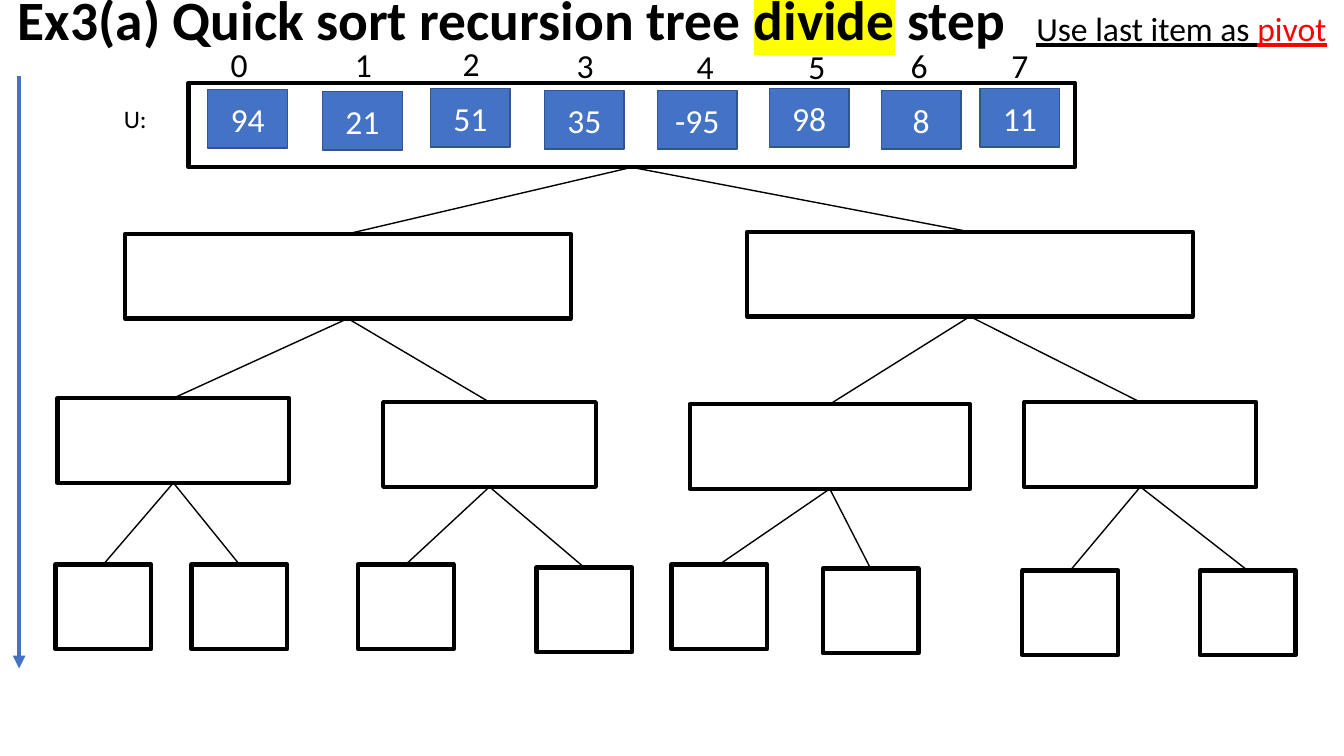
from lxml.etree import SubElement
from pptx import Presentation
from pptx.dml.color import RGBColor
from pptx.enum.shapes import MSO_CONNECTOR, MSO_SHAPE
from pptx.enum.text import MSO_ANCHOR, MSO_AUTO_SIZE, PP_ALIGN
from pptx.oxml import parse_xml
from pptx.oxml.ns import nsdecls, qn
from pptx.util import Pt

SCALE = 9144
BLACK = RGBColor(0x00, 0x00, 0x00)
WHITE = RGBColor(0xFF, 0xFF, 0xFF)
BLUE = RGBColor(0x44, 0x72, 0xC4)
NAVY = RGBColor(0x32, 0x54, 0x91)
RED = RGBColor(0xFF, 0x00, 0x00)
YELLOW = RGBColor(0xFF, 0xFF, 0x00)

CELLS = [
    (94, 206, 89), (21, 320, 91), (51, 427, 88), (35, 540, 90),
    (-95, 652, 90), (98, 763, 88), (8, 874, 90), (11, 972, 88),
]
LABELS = [
    (219, 39, 21), (342, 39, 21), (449, 38, 21), (562, 40, 21),
    (681, 41, 21), (792, 41, 28), (894, 40, 19), (994, 40, 19),
]
NODES = [
    (187, 82, 879),
    (124, 232, 442), (741, 230, 442),
    (57, 395, 230), (380, 399, 211), (684, 401, 278), (1016, 399, 230),
    (55, 560, 95), (190, 560, 95), (355, 560, 95), (532, 563, 95),
    (666, 560, 95), (816, 564, 95), (1014, 566, 95), (1190, 566, 95),
]


def px(*nums):
    return [n * SCALE for n in nums]


def write(para, text, size=24, color=BLACK, bold=False, under=False, mark=None):
    run = para.add_run()
    run.text = text
    font = run.font
    font.name = "Calibri"
    font.size = Pt(size)
    font.bold = bold
    font.underline = under
    font.color.rgb = color
    if mark is not None:
        tag = parse_xml(
            f'<a:highlight {nsdecls("a")}><a:srgbClr val="{mark}"/></a:highlight>'
        )
        run._r.rPr.find(qn("a:solidFill")).addnext(tag)


class Board:
    face = {"size": 24, "color": BLACK}
    tall = 84
    thick = 3
    thin = 1

    def __init__(self, slide):
        self.slide = slide

    def rect(self, box, line, width, fill=None):
        shape = self.slide.shapes.add_shape(MSO_SHAPE.RECTANGLE, *px(*box))
        shape.shadow.inherit = False
        if fill is None:
            shape.fill.background()
        else:
            shape.fill.solid()
            shape.fill.fore_color.rgb = fill
        shape.line.color.rgb = line
        shape.line.width = Pt(width)
        return shape

    def cell(self, value, left, top):
        shape = self.rect((left, top, 79, 58), NAVY, self.thin, BLUE)
        shape.text_frame.vertical_anchor = MSO_ANCHOR.MIDDLE
        para = shape.text_frame.paragraphs[0]
        para.alignment = PP_ALIGN.CENTER
        write(para, str(value), color=WHITE)

    def node(self, left, top, width):
        return self.rect((left, top, width, self.tall), BLACK, self.thick)

    def text(self, box, *runs, wrap=True, grow=True):
        frame = self.slide.shapes.add_textbox(*px(*box)).text_frame
        frame.word_wrap = wrap
        frame.auto_size = (
            MSO_AUTO_SIZE.SHAPE_TO_FIT_TEXT if grow else MSO_AUTO_SIZE.NONE
        )
        for words, style in runs:
            write(frame.paragraphs[0], words, **{**self.face, **style})
        return frame

    def line(self, ends, color, width):
        wire = self.slide.shapes.add_connector(MSO_CONNECTOR.STRAIGHT, *px(*ends))
        wire.line.color.rgb = color
        wire.line.width = Pt(width)
        SubElement(wire._element.spPr, qn("a:effectLst"))
        return wire

    def link(self, top, low):
        wire = self.line((0, 0, 0, 0), BLACK, self.thin)
        wire.begin_connect(top, 2)
        wire.end_connect(low, 0)

    def arrow(self, ends):
        wire = self.line(ends, BLUE, self.thick)
        SubElement(wire.line._get_or_add_ln(), qn("a:tailEnd"), type="triangle")


def main():
    deck = Presentation()
    deck.slide_width, deck.slide_height = px(1333, 750)
    board = Board(deck.slides.add_slide(deck.slide_layouts[6]))

    head = {"size": 39.6, "bold": True}
    title = board.text(
        (8, -2, 1123, 48),
        ("Ex3(a) Quick sort recursion tree ", head),
        ("divide", {**head, "mark": YELLOW}),
        (" step", head),
        grow=False,
    )
    title.vertical_anchor = MSO_ANCHOR.MIDDLE
    title.paragraphs[0].line_spacing = 0.9
    board.text(
        (1018, 3, 310, 50),
        ("Use last item as ", {"under": True}),
        ("pivot", {"under": True, "color": RED}),
        wrap=False,
    )

    board.text((113, 98, 64, 40), ("U:", {"size": 18}))
    for value, left, top in CELLS:
        board.cell(value, left, top)
    for index, (left, top, width) in enumerate(LABELS):
        board.text((left, top, width, 50), (str(index), {}))

    nodes = [board.node(*spot) for spot in NODES]
    for index, node in enumerate(nodes[1:]):
        board.link(nodes[index // 2], node)
    board.arrow((19, 75, 19, 663))

    deck.save("out.pptx")


if __name__ == "__main__":
    main()
